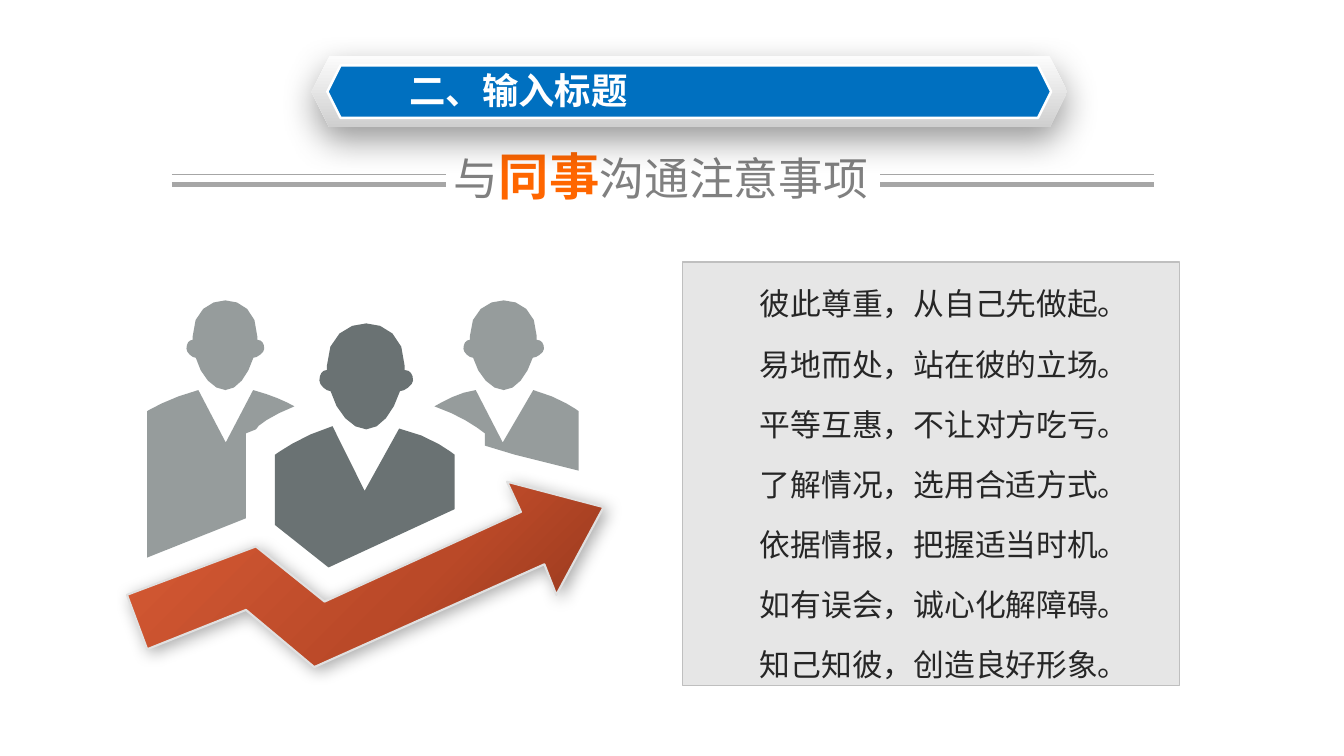
from lxml import etree
from pptx import Presentation
from pptx.dml.color import RGBColor
from pptx.enum import shapes, text
from pptx.oxml import ns
from pptx.util import Cm, Pt

FONT = "Noto Sans CJK SC"
WHITE = RGBColor(0xFF, 0xFF, 0xFF)
BLACK = RGBColor(0x00, 0x00, 0x00)
BLUE = RGBColor(0x00, 0x70, 0xC0)
ORANGE = RGBColor(0xFF, 0x66, 0x00)
INK = RGBColor(0x26, 0x26, 0x26)
GREY = RGBColor(0x80, 0x80, 0x80)
RULE = RGBColor(0xA6, 0xA6, 0xA6)
PANEL = RGBColor(0xE6, 0xE6, 0xE6)
PANEL_EDGE = RGBColor(0xBF, 0xBF, 0xBF)
ARROW_EDGE = RGBColor(0xE0, 0xE0, 0xE0)
PERSON = RGBColor(0x6A, 0x72, 0x73)
SILVER_STOPS = [(0, RGBColor(0xFC, 0xFC, 0xFC)), (100, RGBColor(0xCF, 0xCF, 0xCF))]
RED_STOPS = [(0, RGBColor(0xD9, 0x5C, 0x36)), (60, RGBColor(0xBA, 0x49, 0x28)),
             (100, RGBColor(0x8F, 0x34, 0x1B))]

# Outlines: two numbers are a corner, six are a Bézier curve.
# The head is in hundredths of its box, the others are in centimetres.
HEAD = [(12, 64), (18, 84, 35, 100, 50, 100), (65, 100, 79, 84, 86, 64),
        (91, 64, 100, 58, 100, 54), (100, 48, 97, 44, 91, 44), (91, 40),
        (91, 12, 70, 0, 50, 0), (30, 0, 8, 12, 8, 40), (8, 44),
        (3, 44, 0, 48, 0, 54), (0, 58, 7, 64, 12, 64)]
LEFT_SUIT = [(6.2, 13.06), (6.2, 10.92), (6.45, 10.82),
             (6.45, 10.74, 6.86, 10.46, 7.42, 10.24),
             (7.19, 10.11, 6.86, 9.96, 6.38, 9.83), (5.69, 11.15), (5, 9.83),
             (4.29, 10.01, 3.71, 10.36, 3.71, 10.36), (3.71, 14.05)]
RIGHT_SUIT = [(14.58, 11.86), (14.58, 10.36),
              (14.58, 10.36, 14.12, 10.01, 13.44, 9.83), (12.67, 11.15), (11.99, 9.83),
              (11.58, 9.88, 11.18, 10.11, 10.95, 10.24),
              (11.58, 10.46, 11.99, 10.74, 12.22, 10.92), (12.22, 11.23), (12.98, 11.46)]
FRONT_SUIT = [(11.46, 12.83), (11.46, 11.46),
              (11.46, 11.46, 10.87, 10.97, 10.06, 10.8), (9.19, 12.37), (8.38, 10.74),
              (7.59, 10.97, 6.93, 11.46, 6.93, 11.46), (6.93, 13.23), (8.28, 14.3)]
ARROW = [(12.78, 12.14), (13.13, 12.9), (8.18, 15.16), (6.45, 13.77), (3.2, 14.99),
         (3.71, 16.36), (6.2, 15.37), (7.92, 16.81), (13.72, 14.22), (14.02, 14.99),
         (15.21, 12.78)]
# Head box (left, top, width, height), suit, opacity in percent
PEOPLE = [((4.7, 7.57, 1.96, 2.26), LEFT_SUIT, 70),
          ((11.68, 7.57, 2.03, 2.26), RIGHT_SUIT, 70),
          ((8.05, 8.15, 2.36, 2.67), FRONT_SUIT, 100)]

ADVICE = ["彼此尊重，从自己先做起。", "易地而处，站在彼的立场。", "平等互惠，不让对方吃亏。",
          "了解情况，选用合适方式。", "依据情报，把握适当时机。", "如有误会，诚心化解障碍。",
          "知己知彼，创造良好形象。"]


def sub(parent, tag, **attributes):
    return etree.SubElement(parent, ns.qn(tag), {k: str(v) for k, v in attributes.items()})


def write(paragraph, content, size, color, bold=False):
    run = paragraph.add_run()
    run.text = content
    run.font.size, run.font.bold, run.font.name = Pt(size), bold, FONT
    run.font.color.rgb = color
    sub(run.font._element, "a:ea", typeface=FONT)


def flatten(outline, steps=4):
    """Turn corners and Bézier curves into a list of points."""
    points = []
    for part in outline:
        if len(part) == 2:
            points.append(part)
            continue
        corners = [points[-1], part[:2], part[2:4], part[4:]]
        for step in range(1, steps + 1):
            t = step / steps
            weights = ((1 - t) ** 3, 3 * t * (1 - t) ** 2, 3 * t * t * (1 - t), t ** 3)
            points.append(tuple(sum(w * c[axis] for w, c in zip(weights, corners))
                                for axis in (0, 1)))
    return points


class Canvas:
    """Holds the current slide and draws on it, with lengths in centimetres."""

    def __init__(self, slide):
        self.slide = slide
        self.shapes = slide.shapes

    def paint(self, shape, fill=None, opacity=100, stops=None, angle=0,
              line=None, width=1, shadow=None):
        """Shadow is opacity, blur, distance and direction."""
        shape.shadow.inherit = False
        properties = shape._element.spPr
        if stops:
            shape.fill.gradient()
            shape.fill.gradient_angle = -angle % 360
            stop_list = properties.find(".//" + ns.qn("a:gsLst"))
            for old_stop in list(stop_list):
                stop_list.remove(old_stop)
            for position, color in stops:
                sub(sub(stop_list, "a:gs", pos=position * 1000), "a:srgbClr", val=color)
        else:
            shape.fill.solid()
            shape.fill.fore_color.rgb = fill
            if opacity < 100:
                sub(properties.find(".//" + ns.qn("a:srgbClr")), "a:alpha", val=opacity * 1000)
        if line is None:
            shape.line.fill.background()
        else:
            shape.line.color.rgb, shape.line.width = line, Pt(width)
        if shadow:
            strength, blur, distance, direction = shadow
            outer = sub(properties.find(ns.qn("a:effectLst")), "a:outerShdw",
                        blurRad=Pt(blur), dist=Pt(distance), dir=direction * 60000,
                        algn="ctr", rotWithShape=0)
            sub(sub(outer, "a:srgbClr", val=BLACK), "a:alpha", val=strength * 1000)

    def preset(self, kind, box, **look):
        self.paint(self.shapes.add_shape(kind, *map(Cm, box)), **look)

    def outline(self, points, **look):
        points = [(x * 1000, y * 1000) for x, y in points]
        builder = self.shapes.build_freeform(*points[0], scale=Cm(1) / 1000)
        builder.add_line_segments(points[1:], close=True)
        self.paint(builder.convert_to_shape(), **look)

    def person(self, head_box, suit, opacity):
        left, top, width, height = head_box
        head = [(left + x * width / 100, top + y * height / 100) for x, y in flatten(HEAD)]
        for points in (head, flatten(suit)):
            self.outline(points, fill=PERSON, opacity=opacity)

    def rule(self, left, right, y, width):
        line = self.shapes.add_connector(shapes.MSO_CONNECTOR.STRAIGHT,
                                         Cm(left), Cm(y), Cm(right), Cm(y))
        line.line.color.rgb, line.line.width = RULE, Pt(width)
        sub(line._element.spPr, "a:effectLst")

    def text(self, box, paragraphs, spacing=1.0, before=0):
        """Each paragraph is a list of (text, format) runs."""
        frame = self.shapes.add_textbox(*map(Cm, box)).text_frame
        frame.word_wrap = True
        for index, runs in enumerate(paragraphs):
            paragraph = frame.add_paragraph() if index else frame.paragraphs[0]
            paragraph.line_spacing = spacing
            if index:
                paragraph.space_before = Pt(before)
            for content, style in runs:
                write(paragraph, content, **style)

    def title(self, box, content, **style):
        title = self.shapes.title
        title.left, title.top, title.width, title.height = map(Cm, box)
        title.text_frame.vertical_anchor = text.MSO_ANCHOR.MIDDLE
        paragraph = title.text_frame.paragraphs[0]
        paragraph.alignment = text.PP_ALIGN.LEFT
        write(paragraph, content, **style)
        self.shapes._spTree.append(title._element)  # in front of the banner


def main():
    deck = Presentation()
    deck.slide_width, deck.slide_height = Cm(33.87), Cm(19.05)
    canvas = Canvas(deck.slides.add_slide(deck.slide_layouts[5]))

    for left in (4.33, 22.18):
        for y, width in ((4.65, 4), (4.39, 1)):
            canvas.rule(left, left + 6.91, y, width)
    plain = dict(size=32, color=GREY)
    canvas.text((11.19, 3.71, 11.3, 1.65),
                [[("与", plain), ("同事", dict(size=36, color=ORANGE, bold=True)),
                  ("沟通注意事项", plain)]], spacing=0.9)

    canvas.preset(shapes.MSO_SHAPE.RECTANGLE, (17.2, 6.6, 12.52, 10.67),
                  fill=PANEL, line=PANEL_EDGE, width=1)
    canvas.text((18.9, 6.83, 11.25, 9.09),
                [[(advice, dict(size=22, color=INK))] for advice in ADVICE],
                spacing=1.25, before=10)

    for head_box, suit, opacity in PEOPLE:
        canvas.person(head_box, suit, opacity)
    canvas.outline(ARROW, stops=RED_STOPS, angle=45, line=ARROW_EDGE, width=1.5,
                   shadow=(33, 12, 3, 45))

    canvas.preset(shapes.MSO_SHAPE.HEXAGON, (7.85, 1.41, 19.05, 1.8),
                  stops=SILVER_STOPS, angle=90, shadow=(40, 25, 9, 90))
    canvas.preset(shapes.MSO_SHAPE.HEXAGON, (8.25, 1.65, 18.24, 1.32),
                  fill=BLUE, line=WHITE, width=1.75)
    canvas.title((10.06, 1.57, 6.4, 1.37), "二、输入标题", size=26, color=WHITE, bold=True)
    deck.save("out.pptx")


if __name__ == "__main__":
    main()
